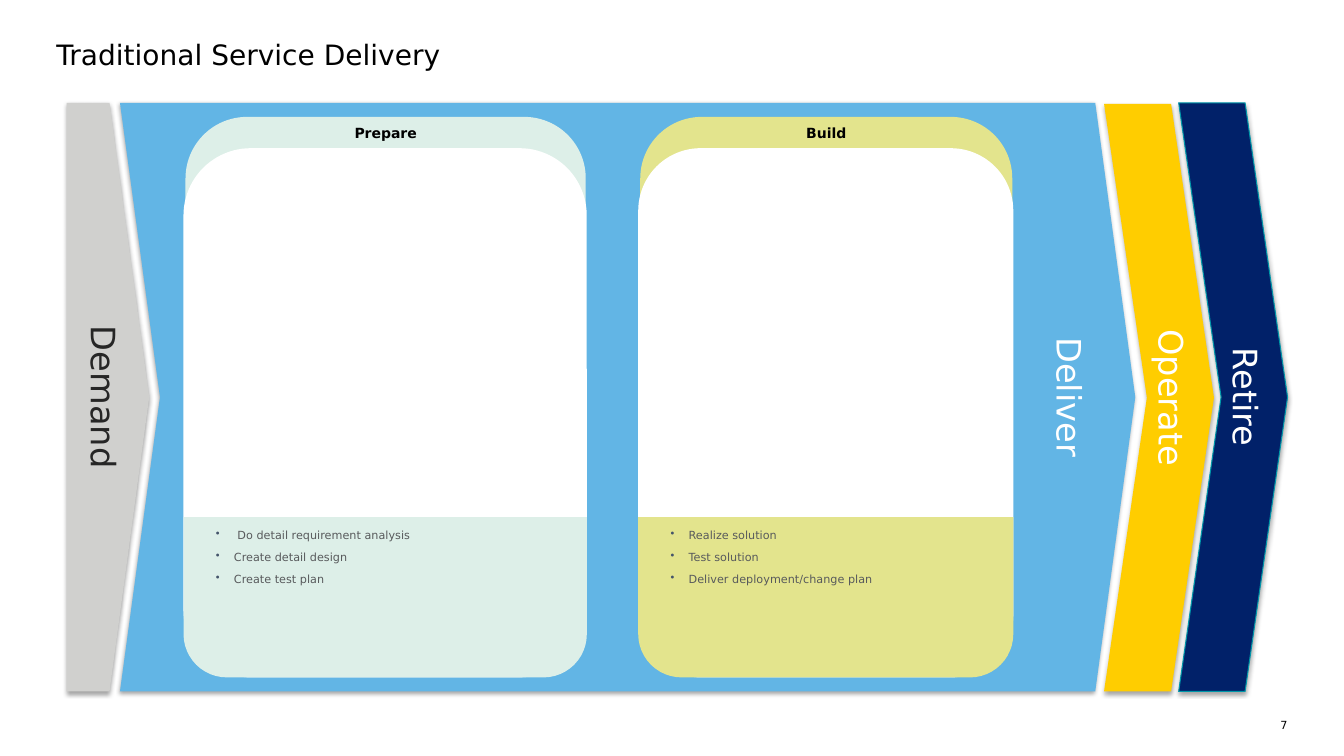
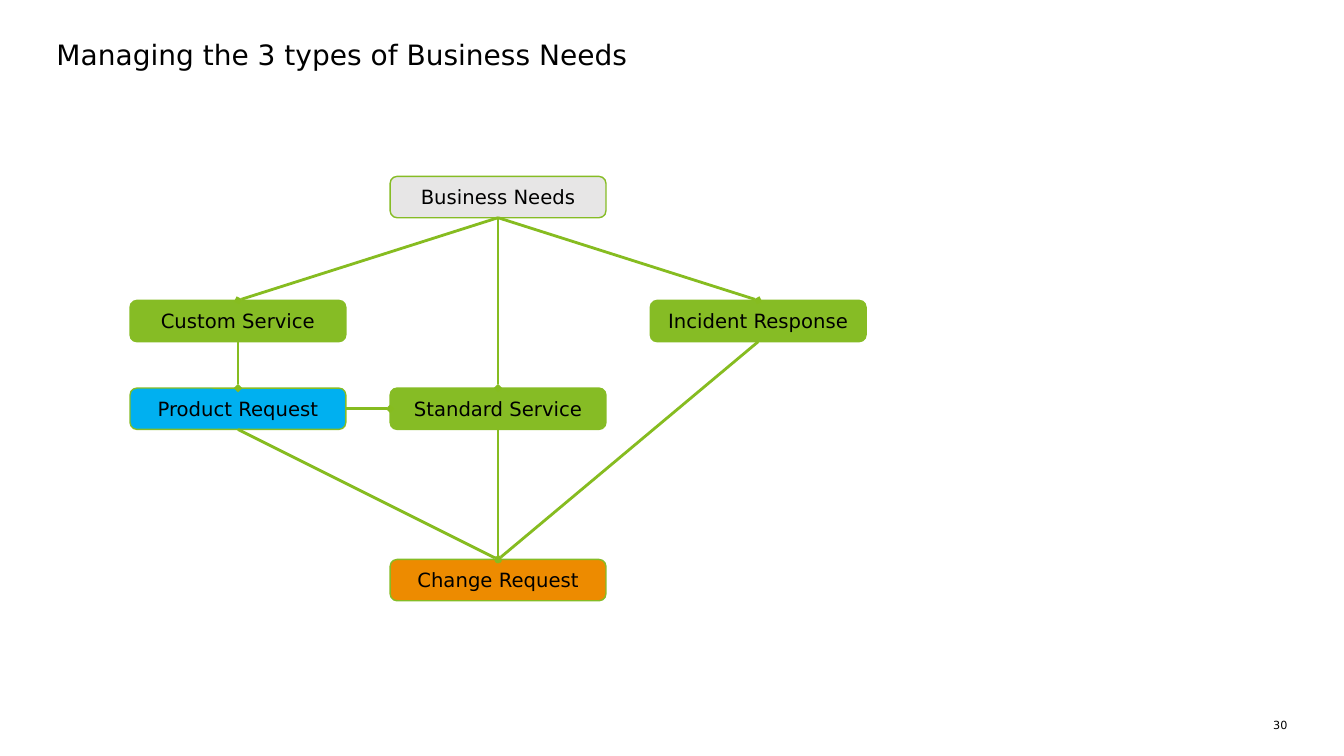
from dataclasses import dataclass

from lxml import etree
from pptx import Presentation
from pptx.dml.color import RGBColor
from pptx.enum import shapes, text
from pptx.oxml.ns import qn
from pptx.util import Inches, Pt

KIND = shapes.MSO_SHAPE
ANCHOR = text.MSO_ANCHOR
ALIGN = text.PP_ALIGN


@dataclass(frozen=True)
class Theme:
    font: str = "DejaVu Sans"
    black: str = "000000"
    white: str = "FFFFFF"
    charcoal: str = "262626"
    body_grey: str = "585A5C"
    bullet: str = "44546A"
    silver: str = "D0D0CE"
    sky: str = "62B5E5"
    yellow: str = "FFCD00"
    navy: str = "012169"
    teal: str = "0097A9"
    mint: str = "DDEFE8"
    lime: str = "E3E48D"
    pale_grey: str = "E7E6E6"
    green: str = "86BC25"
    link_green: str = "86BC20"
    cyan: str = "00B0F0"
    orange: str = "ED8B00"
    title_size: int = 20
    stage_size: int = 24
    node_size: int = 14
    phase_size: int = 10
    small_size: int = 8
    space_before: int = 6


THEME = Theme()


def rgb(value):
    return RGBColor.from_string(value)


def add_xml(parent, tag, **attributes):
    return etree.SubElement(parent, qn(tag), {k: str(v) for k, v in attributes.items()})


def style_paragraph(paragraph, size, color, align=ALIGN.LEFT, bold=False, space=THEME.space_before):
    paragraph.alignment = align
    paragraph.space_before = Pt(space)
    font = paragraph.font
    font.name, font.size, font.bold = THEME.font, Pt(size), bold
    font.color.rgb = rgb(color)


def set_frame(frame, anchor, margin=None):
    frame.word_wrap = True
    frame.vertical_anchor = anchor
    if margin is not None:
        frame.margin_left = frame.margin_right = Inches(margin)
        frame.margin_top = frame.margin_bottom = Inches(margin)


def add_box(slide, kind, box, fill, outline=None, width=1, adjustments=()):
    shape = slide.shapes.add_shape(kind, *map(Inches, box))
    shape.shadow.inherit = False
    shape.fill.solid()
    shape.fill.fore_color.rgb = rgb(fill)
    if outline:
        shape.line.color.rgb = rgb(outline)
        shape.line.width = Pt(width)
    else:
        shape.line.fill.background()
    for index, value in enumerate(adjustments):
        shape.adjustments[index] = value
    return shape


def add_label(slide, box, content, anchor=ANCHOR.MIDDLE, **style):
    frame = slide.shapes.add_textbox(*map(Inches, box)).text_frame
    set_frame(frame, anchor, 0)
    frame.text = content
    style_paragraph(frame.paragraphs[0], **style)


def add_titled_slide(prs, heading, number):
    slide = prs.slides.add_slide(prs.slide_layouts[5])
    title = slide.shapes.title
    title.left, title.top, title.width, title.height = map(Inches, (0.56, 0.37, 12.22, 0.34))
    title.text_frame.text = heading
    set_frame(title.text_frame, ANCHOR.MIDDLE, 0)
    title.text_frame.auto_size = text.MSO_AUTO_SIZE.SHAPE_TO_FIT_TEXT
    style_paragraph(title.text_frame.paragraphs[0], THEME.title_size, THEME.black, space=0)
    add_label(slide, (12.54, 7.13, 0.23, 0.13), number, size=THEME.small_size,
              color=THEME.black, align=ALIGN.RIGHT, space=0)
    return slide


def add_stage(slide, kind, box, point, name, fill, color=THEME.white, anchor=ANCHOR.TOP, outline=None):
    """Add a tall arrow with a soft shadow and its name running downwards."""
    stage = add_box(slide, kind, box, fill, outline, 0.75, [point])
    effects = stage.element.spPr.find(qn("a:effectLst"))
    shadow = add_xml(effects, "a:outerShdw", blurRad=Pt(3.1), dist=Pt(1.8),
                     dir=90 * 60000, algn="t", rotWithShape=0)
    add_xml(add_xml(shadow, "a:srgbClr", val=THEME.black), "a:alpha", val=35000)
    frame = stage.text_frame
    set_frame(frame, anchor)
    frame.text = name
    frame._txBody.bodyPr.set("vert", "vert")
    style_paragraph(frame.paragraphs[0], THEME.stage_size, color, ALIGN.CENTER)


def add_bullets(slide, box, items):
    frame = slide.shapes.add_textbox(*map(Inches, box)).text_frame
    set_frame(frame, ANCHOR.TOP, 0)
    frame.text = "\n".join(items)
    for paragraph in frame.paragraphs:
        properties = paragraph._p.get_or_add_pPr()
        properties.set("marL", str(Inches(0.34)))
        properties.set("indent", str(Inches(-0.18)))
        add_xml(add_xml(properties, "a:buClr"), "a:srgbClr", val=THEME.bullet)
        add_xml(properties, "a:buChar", char="•")
        style_paragraph(paragraph, THEME.small_size, THEME.body_grey)


def add_phase(slide, box, name, tasks, tint):
    """Add a white card with a tinted heading above and a tinted task list below."""
    left, top, width, height = box
    heading_left, heading_width = left + 0.02, width - 0.03
    body_top, tasks_height = top + 0.31, 1.59
    tasks_top = top + height - tasks_height
    add_box(slide, KIND.ROUNDED_RECTANGLE, (heading_left, top, heading_width, 3.66), tint)
    add_box(slide, KIND.ROUNDED_RECTANGLE, (left, body_top, width, height - 0.31), THEME.white)
    add_label(slide, (heading_left, top, heading_width, 0.32), name, size=THEME.phase_size,
              color=THEME.black, align=ALIGN.CENTER, bold=True)
    base = add_box(slide, KIND.ROUND_2_SAME_RECTANGLE, (left, tasks_top, width, tasks_height),
                   tint, adjustments=(0.27, 0))
    base.rotation = 180
    add_bullets(slide, (left + 0.16, tasks_top + 0.11, width - 0.41, 1.43), tasks)


def build_service_delivery(prs):
    slide = add_titled_slide(prs, "Traditional Service Delivery", "7")
    top, height = 1.02, 5.84
    add_stage(slide, KIND.PENTAGON, (0.66, top, 0.82, height), 0.48, "Demand",
              THEME.silver, THEME.charcoal)
    add_stage(slide, KIND.CHEVRON, (11.69, top, 1.08, height), 0.39, "Retire",
              THEME.navy, anchor=ANCHOR.BOTTOM, outline=THEME.teal)
    add_stage(slide, KIND.CHEVRON, (1.19, top, 10.07, height), 0.068, "Deliver", THEME.sky)
    phases = (
        (1.82, 4, "Prepare", THEME.mint,
         (" Do detail requirement analysis", "Create detail design", "Create test plan")),
        (6.33, 3.72, "Build", THEME.lime,
         ("Realize solution", "Test solution", "Deliver deployment/change plan")),
    )
    for left, width, name, tint, tasks in phases:
        add_phase(slide, (left, top + 0.14, width, 5.56), name, tasks, tint)
    add_stage(slide, KIND.CHEVRON, (10.95, 1.03, 1.09, 5.83), 0.39, "Operate",
              THEME.yellow, anchor=ANCHOR.BOTTOM)


def add_node(slide, box, name, fill):
    node = add_box(slide, KIND.ROUNDED_RECTANGLE, box, fill, THEME.green)
    set_frame(node.text_frame, ANCHOR.MIDDLE)
    node.text_frame.text = name
    style_paragraph(node.text_frame.paragraphs[0], THEME.node_size, THEME.black, ALIGN.CENTER)
    return node


def add_link(slide, source, source_site, target, target_site):
    link = slide.shapes.add_connector(shapes.MSO_CONNECTOR.STRAIGHT, 0, 0, 0, 0)
    link.begin_connect(source, source_site)
    link.end_connect(target, target_site)
    link.line.color.rgb = rgb(THEME.link_green)
    link.line.width = Pt(2)
    properties = link.element.spPr
    add_xml(properties.find(qn("a:ln")), "a:tailEnd", type="diamond")
    add_xml(properties, "a:effectLst")


def add_needs_tree(slide, left, top):
    column_step, row_offsets = 2.58, (0, 1.23, 2.1, 3.8)
    needs = (
        ("Business Needs", 1, 0, THEME.pale_grey),
        ("Custom Service", 0, 1, THEME.green),
        ("Incident Response", 2, 1, THEME.green),
        ("Product Request", 0, 2, THEME.cyan),
        ("Standard Service", 1, 2, THEME.green),
        ("Change Request", 1, 3, THEME.orange),
    )
    nodes = {
        name: add_node(slide, (left + column * column_step, top + row_offsets[row], 2.14, 0.41),
                       name, fill)
        for name, column, row, fill in needs
    }
    top_site, left_site, bottom_site, right_site = range(4)
    downward = (
        ("Business Needs", "Custom Service"),
        ("Business Needs", "Standard Service"),
        ("Business Needs", "Incident Response"),
        ("Custom Service", "Product Request"),
        ("Product Request", "Change Request"),
        ("Standard Service", "Change Request"),
        ("Incident Response", "Change Request"),
    )
    for source, target in downward:
        add_link(slide, nodes[source], bottom_site, nodes[target], top_site)
    add_link(slide, nodes["Product Request"], right_site, nodes["Standard Service"], left_site)


def build_business_needs(prs):
    slide = add_titled_slide(prs, "Managing the 3 types of Business Needs", "30")
    add_needs_tree(slide, 1.29, 1.75)


def main():
    prs = Presentation()
    prs.slide_width, prs.slide_height = Inches(13.33), Inches(7.5)
    build_service_delivery(prs)
    build_business_needs(prs)
    prs.save("out.pptx")


if __name__ == "__main__":
    main()
